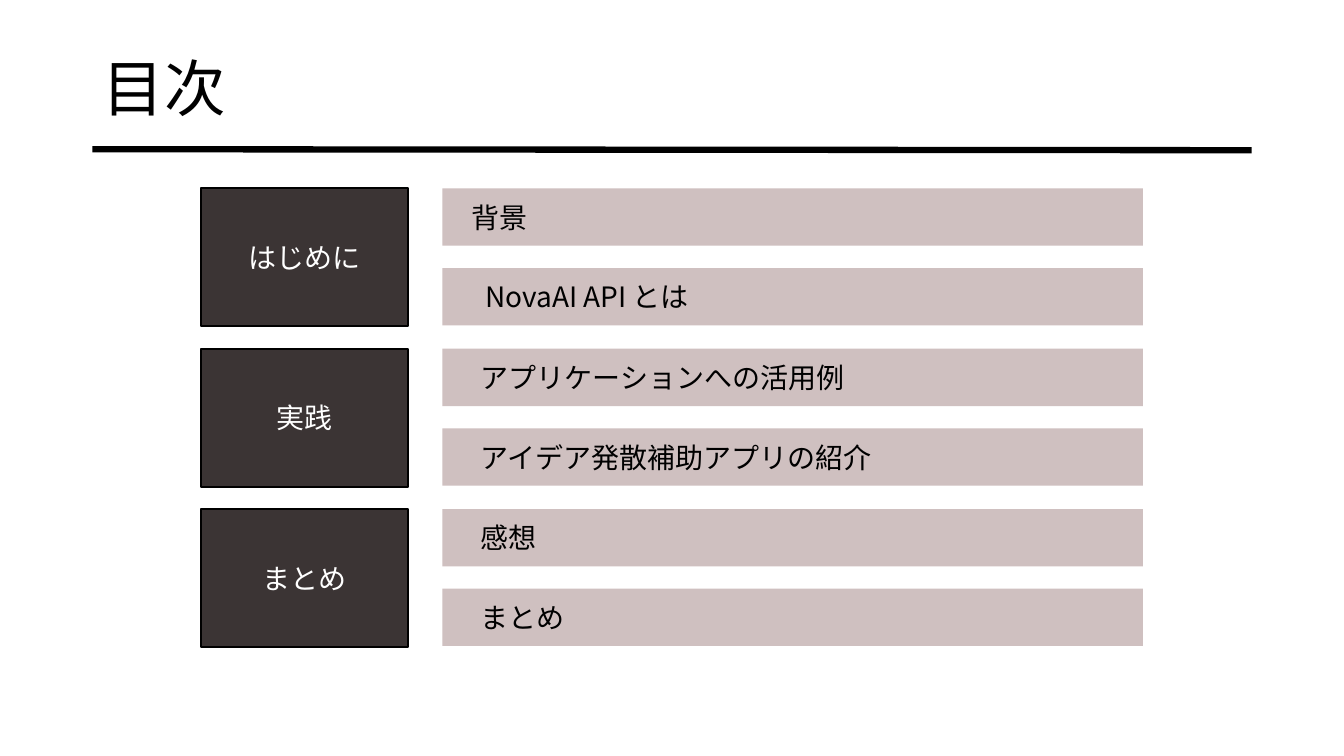
from dataclasses import dataclass

from lxml.etree import SubElement
from pptx import Presentation
from pptx.dml.color import RGBColor
from pptx.enum.shapes import MSO_CONNECTOR, MSO_SHAPE
from pptx.enum.text import MSO_ANCHOR, MSO_AUTO_SIZE, PP_ALIGN
from pptx.oxml.ns import qn
from pptx.shapes.autoshape import Shape
from pptx.slide import Slide
from pptx.util import Pt

FONT = "Noto Sans CJK JP"
BLACK = RGBColor(0x00, 0x00, 0x00)
WHITE = RGBColor(0xFF, 0xFF, 0xFF)
CHARCOAL = RGBColor(0x3B, 0x34, 0x34)
ROSE_GRAY = RGBColor(0xCF, 0xC0, 0xC0)

FIRST_TOP = 134.6
CHAPTER_LEFT, CHAPTER_WIDTH, CHAPTER_HEIGHT, CHAPTER_PITCH = 143.3, 148.3, 98.6, 114.5
TOPIC_LEFT, TOPIC_WIDTH, TOPIC_HEIGHT, TOPIC_PITCH = 316, 500.4, 41, 56.9


@dataclass(frozen=True)
class Topic:
    text: str
    indent: float = 27.2


@dataclass(frozen=True)
class Chapter:
    name: str
    topics: tuple[Topic, ...]


CHAPTERS = (
    Chapter("はじめに", (Topic("背景", 20.5), Topic("NovaAI API とは", 30.5))),
    Chapter("実践", (Topic("アプリケーションへの活用例"), Topic("アイデア発散補助アプリの紹介"))),
    Chapter("まとめ", (Topic("感想"), Topic("まとめ"))),
)


def write_text(shape: Shape, text: str, *, size: float = 20, color: RGBColor = BLACK,
               align: PP_ALIGN = PP_ALIGN.LEFT, indent: float = 7.2,
               line_spacing: float = 1.0) -> None:
    frame = shape.text_frame
    frame.word_wrap = True
    frame.auto_size = MSO_AUTO_SIZE.NONE
    frame.vertical_anchor = MSO_ANCHOR.MIDDLE
    frame.margin_left = Pt(indent)
    paragraph = frame.paragraphs[0]
    paragraph.alignment = align
    paragraph.line_spacing = line_spacing
    run = paragraph.add_run()
    run.text = text
    run.font.size = Pt(size)
    run.font.color.rgb = color
    run.font.name = FONT
    SubElement(run.font._element, qn("a:ea"), typeface=FONT)


def add_box(slide: Slide, left: float, top: float, width: float, height: float,
            fill: RGBColor) -> Shape:
    """Add a borderless, shadowless rectangle measured in points."""
    box = slide.shapes.add_shape(MSO_SHAPE.RECTANGLE, Pt(left), Pt(top), Pt(width), Pt(height))
    box.shadow.inherit = False
    box.fill.solid()
    box.fill.fore_color.rgb = fill
    box.line.fill.background()
    return box


def add_title(slide: Slide, text: str) -> None:
    title = slide.shapes.title
    title.left, title.top, title.width, title.height = Pt(66), Pt(28.8), Pt(828), Pt(72.5)
    write_text(title, text, size=44, line_spacing=0.9)


def add_title_rule(slide: Slide) -> None:
    rule = slide.shapes.add_connector(
        MSO_CONNECTOR.STRAIGHT, Pt(66), Pt(106.6), Pt(894), Pt(107.3))
    rule.line.color.rgb = BLACK
    rule.line.width = Pt(4.5)
    SubElement(rule._element.spPr, qn("a:effectLst"))


def add_chapter(slide: Slide, chapter: Chapter, top: float) -> None:
    box = add_box(slide, CHAPTER_LEFT, top, CHAPTER_WIDTH, CHAPTER_HEIGHT, CHARCOAL)
    box.line.color.rgb = BLACK
    box.line.width = Pt(1.5)
    write_text(box, chapter.name, color=WHITE, align=PP_ALIGN.CENTER)
    for row, topic in enumerate(chapter.topics):
        bar = add_box(slide, TOPIC_LEFT, top + row * TOPIC_PITCH,
                      TOPIC_WIDTH, TOPIC_HEIGHT, ROSE_GRAY)
        write_text(bar, topic.text, indent=topic.indent)


def main() -> None:
    presentation = Presentation()
    presentation.slide_width, presentation.slide_height = Pt(960), Pt(540)
    slide = presentation.slides.add_slide(presentation.slide_layouts.get_by_name("Title Only"))
    add_title(slide, "目次")
    add_title_rule(slide)
    for index, chapter in enumerate(CHAPTERS):
        add_chapter(slide, chapter, FIRST_TOP + index * CHAPTER_PITCH)
    presentation.save("out.pptx")


if __name__ == "__main__":
    main()
